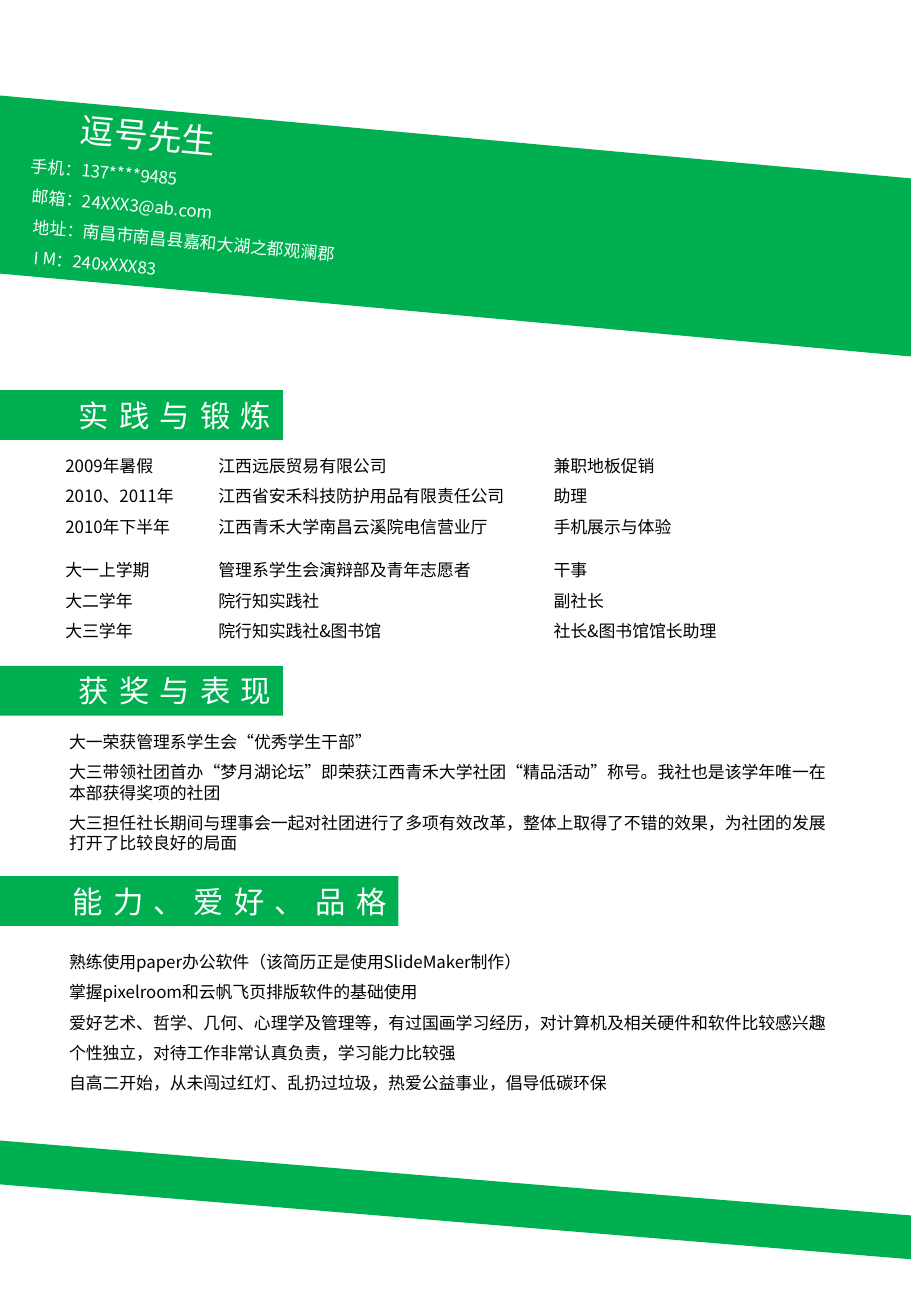
from lxml import etree
from pptx import Presentation
from pptx import util as u
from pptx.dml.color import RGBColor
from pptx.enum import shapes, text
from pptx.oxml import ns

COLORS = {"green": "00B050", "white": "FFFFFF", "black": "000000"}
FONT = "Noto Sans CJK SC"

deck = Presentation()
deck.slide_width, deck.slide_height = u.Inches(7.5), u.Inches(10.83)
page = deck.slides.add_slide(deck.slide_layouts[6])


def add_band(left, top, width, height, rotation=0):
    band = page.shapes.add_shape(
        shapes.MSO_SHAPE.RECTANGLE, *map(u.Inches, (left, top, width, height)))
    band.rotation = rotation
    band.shadow.inherit = False
    band.fill.solid()
    band.fill.fore_color.rgb = RGBColor.from_string(COLORS["green"])
    band.line.fill.background()
    return band


def write_lines(box, lines, color, size=10, after=6, spacing=0, align=text.PP_ALIGN.LEFT):
    frame = box.text_frame
    frame.word_wrap = True
    for index, line in enumerate(lines):
        para = frame.paragraphs[0] if index == 0 else frame.add_paragraph()
        para.alignment = align
        para.space_after = u.Pt(after)
        span = para.add_run()
        span.text = line
        style = {"name": FONT, "size": u.Pt(size)}
        for key, value in style.items():
            setattr(span.font, key, value)
        span.font.color.rgb = RGBColor.from_string(COLORS[color])
        properties = span._r.get_or_add_rPr()
        etree.SubElement(properties, ns.qn("a:ea"), typeface=FONT)
        if spacing:
            properties.set("spc", str(spacing * 100))


header = add_band(-0.22, 1.13, 7.93, 1.46, 5.2)
write_lines(header, [
    "逗号先生",
    "手机：137****9485",
    "邮箱：24XXX3@ab.com",
    "地址：南昌市南昌县嘉和大湖之都观澜郡",
    "I M：240xXXX83",
], "white")
header.text_frame.vertical_anchor = text.MSO_ANCHOR.TOP
header.text_frame.auto_size = text.MSO_AUTO_SIZE.SHAPE_TO_FIT_TEXT
name, *contacts = header.text_frame.paragraphs
name.space_before = u.Pt(6)
name.runs[0].font.size = u.Pt(20)
name._p.get_or_add_pPr().set("marL", str(u.Inches(0.73)))
for index, contact in enumerate(contacts):
    contact._p.get_or_add_pPr().set("marL", str(u.Inches(0.35 + 0.03 * index)))

columns = [(0.44, 1.43), (1.7, 2.68), (4.46, 1.73)]
experience = {
    3.7: [
        ["2009年暑假", "2010、2011年", "2010年下半年"],
        ["江西远辰贸易有限公司", "江西省安禾科技防护用品有限责任公司", "江西青禾大学南昌云溪院电信营业厅"],
        ["兼职地板促销", "助理", "手机展示与体验"],
    ],
    4.56: [
        ["大一上学期", "大二学年", "大三学年"],
        ["管理系学生会演辩部及青年志愿者", "院行知实践社", "院行知实践社&图书馆"],
        ["干事", "副社长", "社长&图书馆馆长助理"],
    ],
}
blocks = [
    (left, top, width, 0.77, lines)
    for top, group in experience.items()
    for (left, width), lines in zip(columns, group)
]
blocks += [
    (0.47, 5.97, 6.51, 1.11, [
        "大一荣获管理系学生会“优秀学生干部”",
        "大三带领社团首办“梦月湖论坛”即荣获江西青禾大学社团“精品活动”称号。我社也是该学年唯一在本部获得奖项的社团",
        "大三担任社长期间与理事会一起对社团进行了多项有效改革，整体上取得了不错的效果，为社团的发展打开了比较良好的局面",
    ]),
    (0.47, 7.78, 6.67, 1.28, [
        "熟练使用paper办公软件（该简历正是使用SlideMaker制作）",
        "掌握pixelroom和云帆飞页排版软件的基础使用",
        "爱好艺术、哲学、几何、心理学及管理等，有过国画学习经历，对计算机及相关硬件和软件比较感兴趣",
        "个性独立，对待工作非常认真负责，学习能力比较强",
        "自高二开始，从未闯过红灯、乱扔过垃圾，热爱公益事业，倡导低碳环保",
    ]),
]
for left, top, width, height, lines in blocks:
    box = page.shapes.add_textbox(*map(u.Inches, (left, top, width, height)))
    write_lines(box, lines, "black")
    box.text_frame.auto_size = text.MSO_AUTO_SIZE.SHAPE_TO_FIT_TEXT

headings = [(3.21, 2.33, "实践与锻炼"), (5.48, 2.33, "获奖与表现"), (7.21, 3.28, "能力、爱好、品格")]
for top, width, title in headings:
    heading = add_band(0, top, width, 0.41)
    write_lines(heading, [title], "white", size=18, after=0, spacing=6, align=text.PP_ALIGN.RIGHT)
    heading.text_frame.vertical_anchor = text.MSO_ANCHOR.MIDDLE

add_band(-0.4, 9.71, 8.66, 0.36, 4.7)

deck.save("out.pptx")
